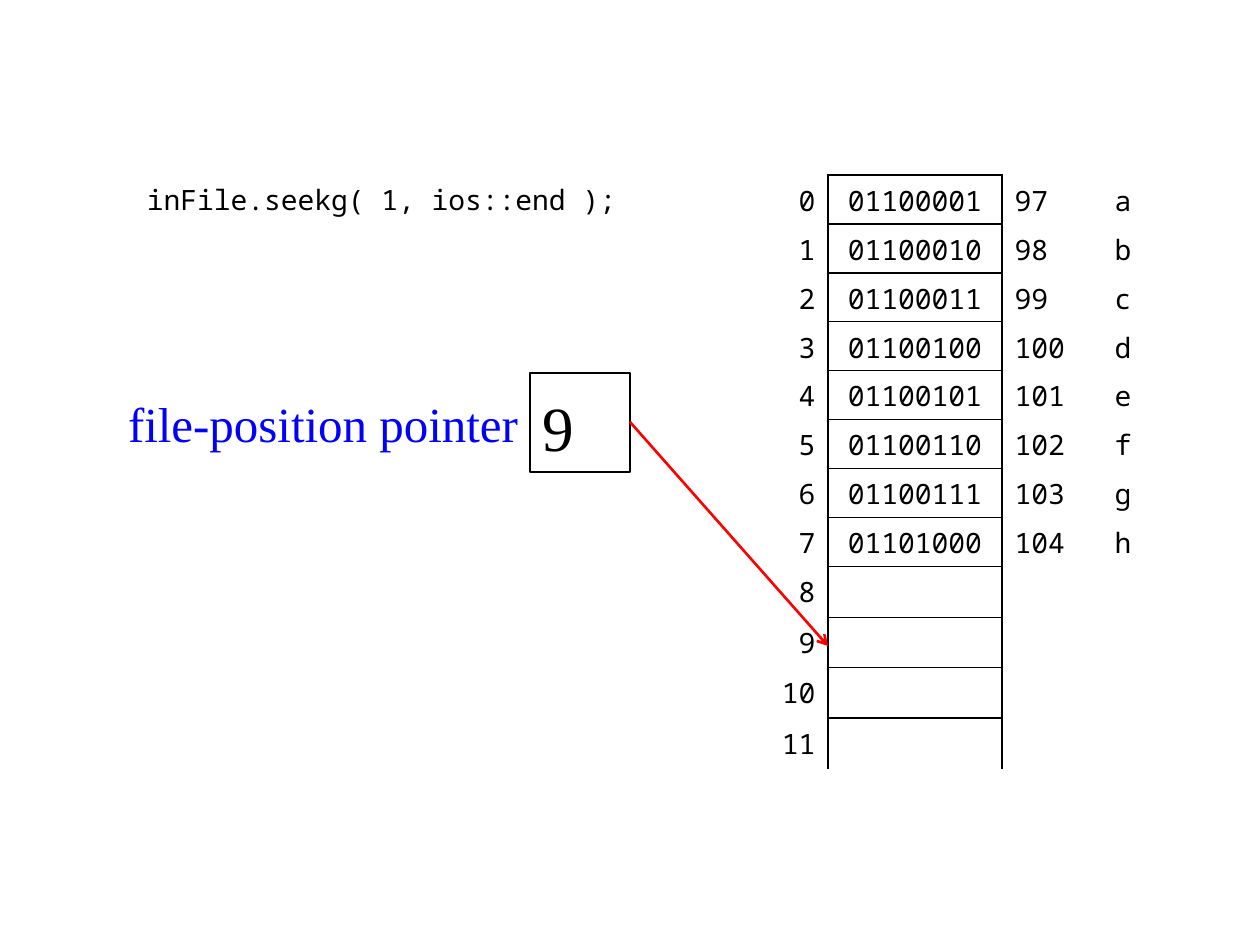
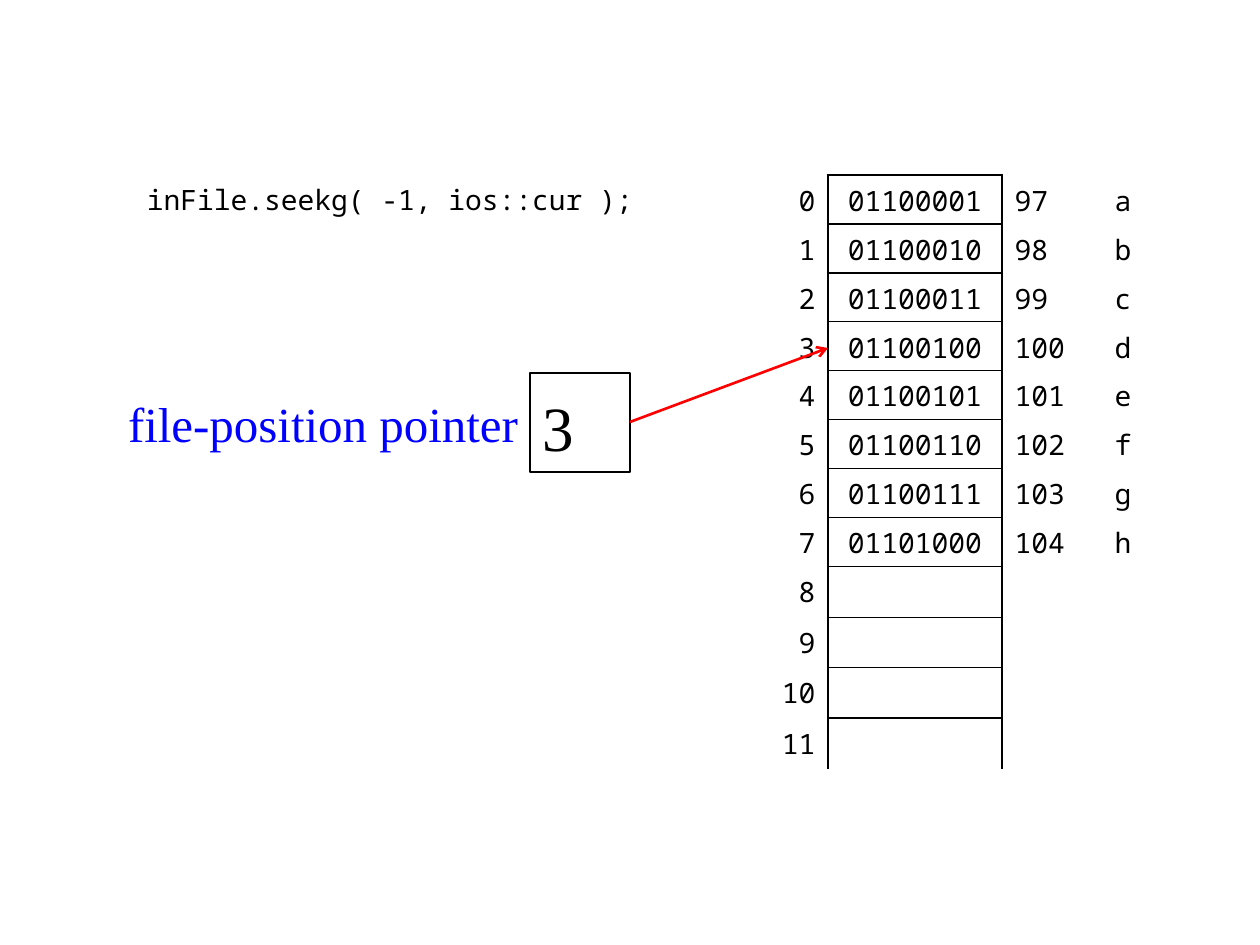
from lxml import etree
from pptx import Presentation
from pptx.dml.color import RGBColor
from pptx.enum.shapes import MSO_CONNECTOR, MSO_SHAPE
from pptx.enum.text import MSO_ANCHOR, PP_ALIGN
from pptx.oxml.ns import qn
from pptx.util import Pt

SCALE = 914400 / 126
LINE, RECT = MSO_CONNECTOR.STRAIGHT, MSO_SHAPE.RECTANGLE
MIDDLE = MSO_ANCHOR.MIDDLE
LEFT, CENTER, RIGHT = PP_ALIGN.LEFT, PP_ALIGN.CENTER, PP_ALIGN.RIGHT

BLACK, WHITE, BLUE, RED = "000000", "FFFFFF", "0000FF", "FF0000"
CODE = {"name": "Noto Sans Mono", "size": Pt(16)}
LABEL = {"name": "Times New Roman", "size": Pt(28)}
VALUE = {"name": "Times New Roman", "size": Pt(36)}
THICK, THIN = 1.5, 0.75
NO_STYLE = "{2D5ABB26-0587-4C30-8999-92F81FD0307C}"

TOP, TALL, ROWS = 175, 595, 12
EDGE = 828
COLS = [74, 174, 100, 49]
ALIGNS = [RIGHT, CENTER, LEFT, LEFT]
LETTERS = "abcdefgh"
BOX = (530, 373, 100, 99)


def px(n):
    return round(n * SCALE)


def color(text):
    return RGBColor.from_string(text)


def write(frame, text, font, align=LEFT, ink=BLACK):
    para = frame.paragraphs[0]
    para.alignment = align
    run = para.add_run()
    run.text = text
    for key, value in font.items():
        setattr(run.font, key, value)
    run.font.color.rgb = color(ink)


def inset(frame, top=0):
    form = {"word_wrap": True, "vertical_anchor": MIDDLE,
            "margin_left": px(13), "margin_right": px(13),
            "margin_top": px(top), "margin_bottom": 0}
    for key, value in form.items():
        setattr(frame, key, value)


def add_text(slide, place, text, font, **style):
    frame = slide.shapes.add_textbox(*map(px, place)).text_frame
    inset(frame)
    write(frame, text, font, **style)


def add_box(slide, text):
    box = slide.shapes.add_shape(RECT, *map(px, BOX))
    box.shadow.inherit = False
    box.fill.background()
    box.line.color.rgb = color(BLACK)
    box.line.width = Pt(THICK)
    inset(box.text_frame, top=7)
    write(box.text_frame, text, VALUE)


def add_arrow(slide, start, end):
    arrow = slide.shapes.add_connector(LINE, *map(px, start + end))
    arrow.line.color.rgb = color(RED)
    arrow.line.width = Pt(THICK)
    etree.SubElement(arrow.line._get_or_add_ln(), qn("a:tailEnd"), type="arrow")
    etree.SubElement(arrow._element.spPr, qn("a:effectLst"))


def border(cell, sides):
    """Draw cell borders; sides maps L, R, T, B (in that order) to points."""
    props = cell._tc.get_or_add_tcPr()
    for side, width in sides.items():
        line = etree.SubElement(props, qn("a:ln" + side), w=str(Pt(width)))
        fill = etree.SubElement(line, qn("a:solidFill"))
        etree.SubElement(fill, qn("a:srgbClr"), val=BLACK)


def byte_row(n):
    """Texts of one row: address, bits, character code, letter."""
    if n >= len(LETTERS):
        return [str(n), "", "", ""]
    letter = LETTERS[n]
    return [str(n), f"{ord(letter):08b}", str(ord(letter)), letter]


def add_bytes(slide):
    place = EDGE - COLS[0], TOP, sum(COLS), TALL
    table = slide.shapes.add_table(ROWS, len(COLS), *map(px, place)).table
    table.first_row = table.horz_banding = False
    table._tbl.tblPr.find(qn("a:tableStyleId")).text = NO_STYLE
    for col, width in zip(table.columns, COLS):
        col.width = px(width)
    for n, row in enumerate(table.rows):
        row.height = px(TALL // ROWS)
        sides = {"L": THICK, "R": THICK, "T": THIN if n else THICK}
        if n < ROWS - 1:
            sides["B"] = THIN
        border(row.cells[1], sides)
        for cell, text, align in zip(row.cells, byte_row(n), ALIGNS):
            cell.fill.solid()
            cell.fill.fore_color.rgb = color(WHITE)
            cell.vertical_anchor = MIDDLE
            write(cell.text_frame, text, CODE, align)


def add_seek(deck, code, spot):
    """Add a slide where the call moves the pointer to the byte at spot."""
    slide = deck.slides.add_slide(deck.slide_layouts[6])
    add_text(slide, (134, TOP, 520, 49), code, CODE)
    add_text(slide, (110, 373, 421, 99), "file-position pointer", LABEL,
             align=RIGHT, ink=BLUE)
    add_bytes(slide)
    add_box(slide, str(spot))
    left, top, width, height = BOX
    start = left + width, top + height // 2
    end = EDGE, TOP + TALL * (2 * spot + 1) // (2 * ROWS)
    add_arrow(slide, start, end)


def main():
    deck = Presentation()
    deck.slide_width, deck.slide_height = px(1260), px(945)
    add_seek(deck, "inFile.seekg( 1, ios::end );", 9)
    add_seek(deck, "inFile.seekg( -1, ios::cur );", 3)
    deck.save("out.pptx")


if __name__ == "__main__":
    main()
